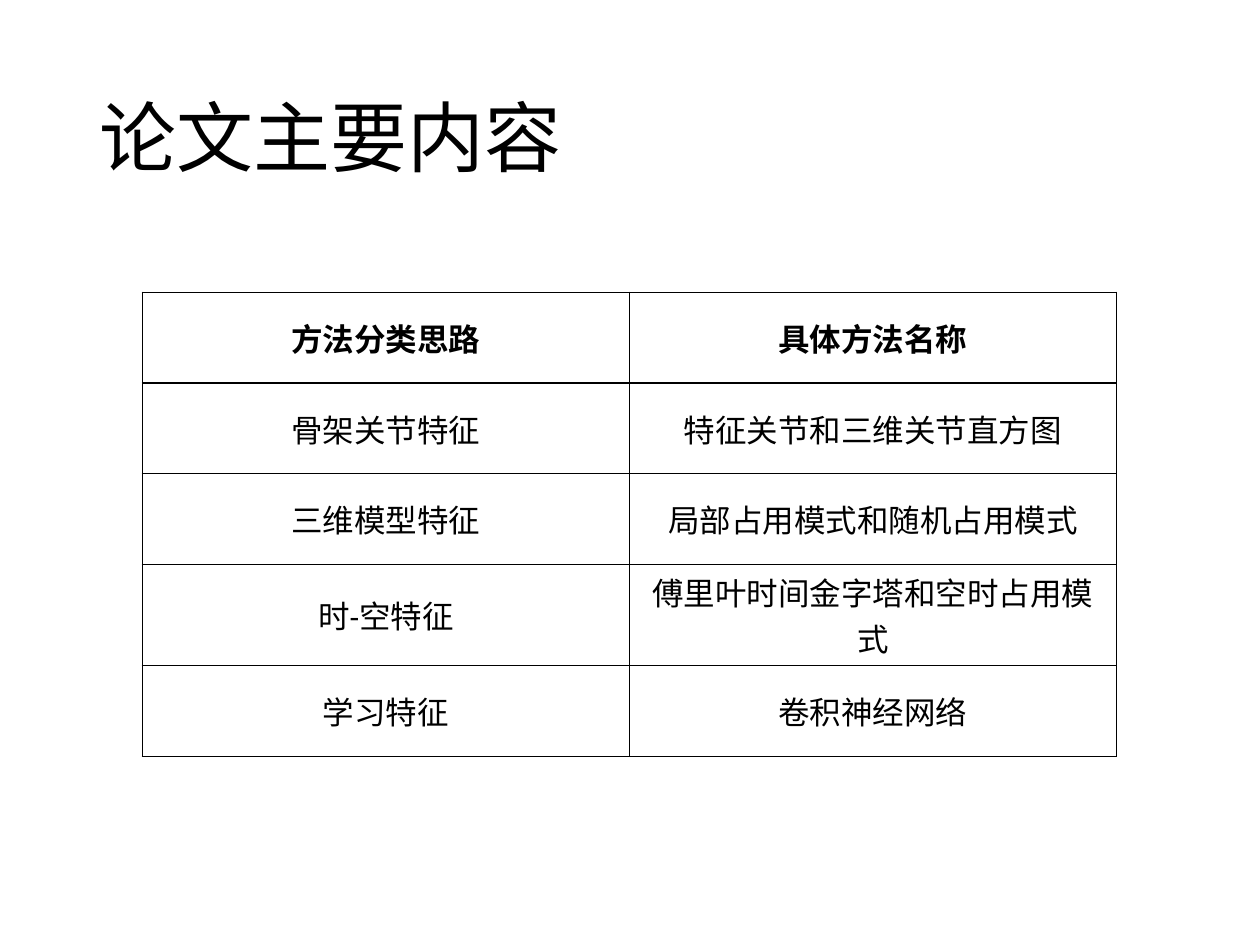
from typing import NamedTuple

from lxml.etree import SubElement
from pptx import Presentation
from pptx.dml.color import RGBColor
from pptx.enum.text import MSO_ANCHOR, PP_ALIGN
from pptx.oxml.ns import qn
from pptx.util import Inches, Pt

BLACK = RGBColor(0x00, 0x00, 0x00)
WHITE = RGBColor(0xFF, 0xFF, 0xFF)
FONT = "Calibri"
ROW_HEIGHT = 0.72
TABLE_WIDTH = 7.73


class MethodRow(NamedTuple):
    category: str
    methods: str


ROWS = [
    MethodRow("方法分类思路", "具体方法名称"),
    MethodRow("骨架关节特征", "特征关节和三维关节直方图"),
    MethodRow("三维模型特征", "局部占用模式和随机占用模式"),
    MethodRow("时-空特征", "傅里叶时间金字塔和空时占用模式"),
    MethodRow("学习特征", "卷积神经网络"),
]


def add_run(paragraph, text: str, size: float, bold: bool = False) -> None:
    run = paragraph.add_run()
    run.text = text
    run.font.name = FONT
    run.font.size = Pt(size)
    run.font.bold = bold
    run.font.color.rgb = BLACK


def set_borders(cell, color: RGBColor, width: float) -> None:
    """Outline all four sides; call before filling, as borders precede the fill in XML."""
    properties = cell._tc.get_or_add_tcPr()
    for side in ("a:lnL", "a:lnR", "a:lnT", "a:lnB"):
        line = SubElement(properties, qn(side), w=str(Pt(width)))
        fill = SubElement(line, qn("a:solidFill"))
        SubElement(fill, qn("a:srgbClr"), val=str(color))


def format_cell(cell, text: str, bold: bool) -> None:
    set_borders(cell, BLACK, 1)
    cell.fill.solid()
    cell.fill.fore_color.rgb = WHITE
    cell.vertical_anchor = MSO_ANCHOR.MIDDLE
    cell.margin_left = cell.margin_right = Inches(0.07)
    cell.margin_top = cell.margin_bottom = Inches(0.04)
    paragraph = cell.text_frame.paragraphs[0]
    paragraph.alignment = PP_ALIGN.CENTER
    add_run(paragraph, text, 18, bold)


def add_title(slide, text: str) -> None:
    title = slide.shapes.title
    title.left, title.top = Inches(0.69), Inches(0.4)
    title.width, title.height = Inches(8.62), Inches(1.45)
    title.text_frame.vertical_anchor = MSO_ANCHOR.MIDDLE
    paragraph = title.text_frame.paragraphs[0]
    paragraph.alignment = PP_ALIGN.LEFT
    paragraph.line_spacing = 0.9
    add_run(paragraph, text, 44)


def add_method_table(slide, rows: list[MethodRow]) -> None:
    table = slide.shapes.add_table(
        len(rows), len(MethodRow._fields), Inches(1.13), Inches(2.32),
        Inches(TABLE_WIDTH), Inches(ROW_HEIGHT * len(rows)),
    ).table
    table.horz_banding = False
    for row_index, row in enumerate(rows):
        for column_index, text in enumerate(row):
            format_cell(table.cell(row_index, column_index), text, bold=row_index == 0)


def main() -> None:
    presentation = Presentation()
    presentation.slide_width = Inches(10)
    presentation.slide_height = Inches(7.5)
    slide = presentation.slides.add_slide(presentation.slide_layouts.get_by_name("Title Only"))
    add_title(slide, "论文主要内容")
    add_method_table(slide, ROWS)
    presentation.save("out.pptx")


if __name__ == "__main__":
    main()
